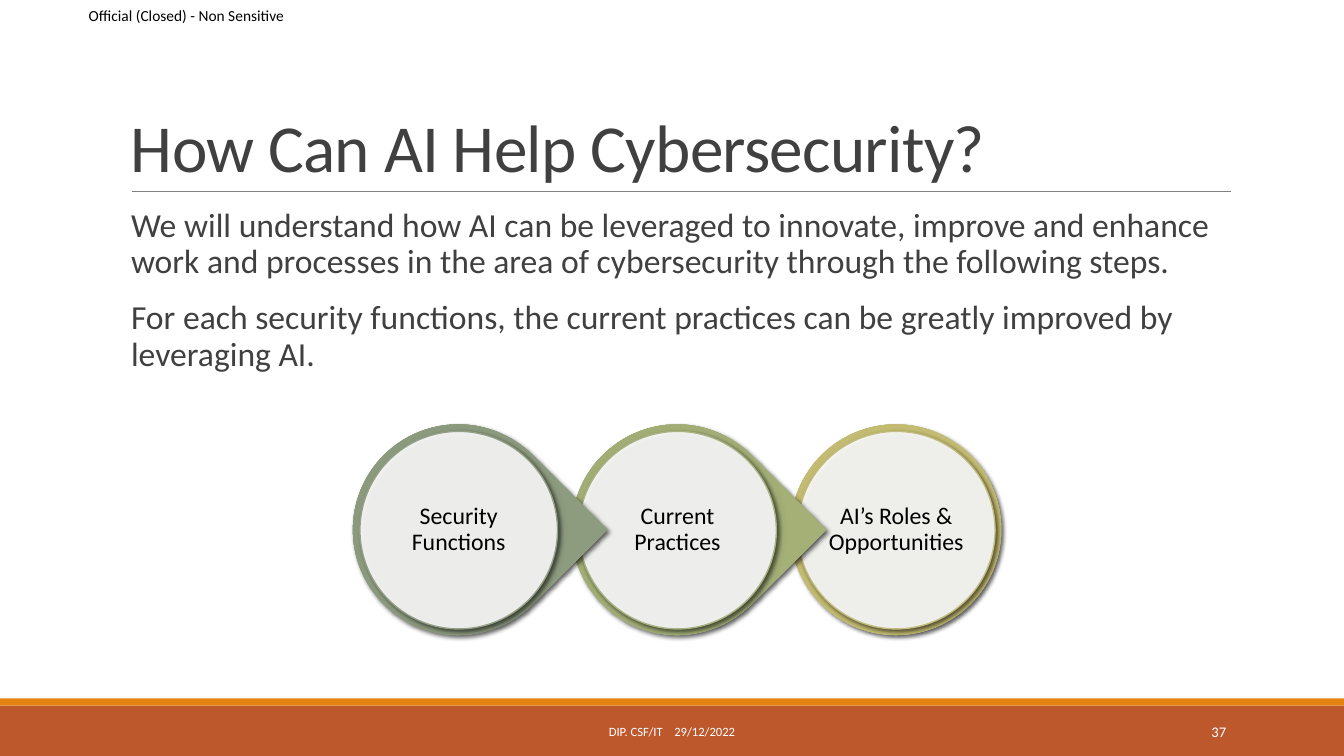
from lxml import etree
from pptx import Presentation
from pptx.dml.color import RGBColor
from pptx.enum.shapes import MSO_CONNECTOR, MSO_SHAPE
from pptx.enum.text import MSO_ANCHOR, PP_ALIGN
from pptx.oxml.ns import qn
from pptx.util import Pt

RECT, OVAL, TEAR = MSO_SHAPE.RECTANGLE, MSO_SHAPE.OVAL, MSO_SHAPE.TEAR
TOP, MIDDLE, BOTTOM = MSO_ANCHOR.TOP, MSO_ANCHOR.MIDDLE, MSO_ANCHOR.BOTTOM
LEFT, CENTER, RIGHT = PP_ALIGN.LEFT, PP_ALIGN.CENTER, PP_ALIGN.RIGHT
STRAIGHT = MSO_CONNECTOR.STRAIGHT
EMU_PER_PX = 9144
FONT = "Calibri"

STEPS = [
    ("Security Functions", TEAR, "94A088", ["8A987B", "8B997D", "8D9C7E", "94A187"]),
    ("Current Practices", TEAR, "A8B283", ["A1AC74", "A2AD76", "A5B077", "AAB481"]),
    ("AI’s Roles & Opportunities", OVAL, "C2BC80", ["BEB76E", "BEB771", "C3BB71", "C5BF7D"]),
]
GRADIENT_STOPS = [0, 34, 70, 100]
BODY = [
    "We will understand how AI can be leveraged to innovate, improve and enhance "
    "work and processes in the area of cybersecurity through the following steps.",
    "For each security functions, the current practices can be greatly improved by "
    "leveraging AI.",
]


def px(n):
    return int(n * EMU_PER_PX)


def rgb(color):
    return RGBColor.from_string(color)


def child(parent, tag, **attrs):
    return etree.SubElement(parent, qn(tag), {k: str(v) for k, v in attrs.items()})


def add_shape(s, kind, x, y, w, h, fill, line=None):
    sp = s.shapes.add_shape(kind, px(x), px(y), px(w), px(h))
    sp.shadow.inherit = False
    sp.fill.solid()
    sp.fill.fore_color.rgb = rgb(fill)
    if line:
        sp.line.color.rgb = rgb(line)
        sp.line.width = Pt(1)
    else:
        sp.line.fill.background()
    return sp


def add_shadow(sp):
    effects = sp._element.spPr.find(qn("a:effectLst"))
    shadow = child(effects, "a:outerShdw", blurRad=Pt(3), dist=Pt(2),
                   dir=45 * 60000, rotWithShape=0)
    color = child(shadow, "a:srgbClr", val="000000")
    child(color, "a:alpha", val=60000)


def set_gradient(sp, colors):
    solid = sp._element.spPr.find(qn("a:solidFill"))
    grad = etree.Element(qn("a:gradFill"), rotWithShape="1")
    stops = child(grad, "a:gsLst")
    for pos, color in zip(GRADIENT_STOPS, colors):
        child(child(stops, "a:gs", pos=pos * 1000), "a:srgbClr", val=color)
    path = child(grad, "a:path", path="circle")
    child(path, "a:fillToRect", l=100000, t=100000, r=100000, b=100000)
    solid.getparent().replace(solid, grad)


def set_alpha(sp, percent):
    color = sp._element.spPr.find(qn("a:solidFill"))[0]
    child(color, "a:alpha", val=percent * 1000)


def add_text(s, x, y, w, h, paragraphs, size, color, align=LEFT, anchor=MIDDLE,
             inset=(10, 5), spacing=1.0, before=0, after=0, indent=0):
    tf = s.shapes.add_textbox(px(x), px(y), px(w), px(h)).text_frame
    tf.word_wrap = True
    tf.vertical_anchor = anchor
    tf.margin_left = tf.margin_right = px(inset[0])
    tf.margin_top = tf.margin_bottom = px(inset[1])
    for i, text in enumerate(paragraphs):
        p = tf.add_paragraph() if i else tf.paragraphs[0]
        p.alignment = align
        p.line_spacing = spacing
        p.space_before, p.space_after = Pt(before), Pt(after)
        p._p.get_or_add_pPr().set("marL", str(px(indent)))
        r = p.add_run()
        r.text = text
        r.font.name = FONT
        r.font.size = Pt(size)
        r.font.color.rgb = rgb(color)
    return tf


def add_rule(s, x1, x2, y, color):
    line = s.shapes.add_connector(STRAIGHT, px(x1), px(y), px(x2), px(y))
    line.line.color.rgb = rgb(color)
    line.line.width = Pt(0.5)
    child(line._element.spPr, "a:effectLst")


def add_step(s, x, y, text, kind, edge, colors):
    ring = add_shape(s, kind, x, y, 209, 209, colors[0])
    if kind == TEAR:
        ring.rotation = 45
    set_gradient(ring, colors)
    add_shadow(ring)
    disc = add_shape(s, OVAL, x + 7, y + 7, 196, 196, "FFFFFF", edge)
    set_alpha(disc, 90)
    add_shadow(disc)
    add_text(s, x + 35, y + 35, 140, 140, [text], 17, "000000", CENTER,
             inset=(2, 2), spacing=0.9)


def add_footer(s):
    tf = add_text(s, 594, 706, 200, 40, ["DIP. CSF/IT\t29/12/2022"], 9, "FFFFFF")
    tabs = child(tf.paragraphs[0]._p.get_or_add_pPr(), "a:tabLst")
    child(tabs, "a:tab", pos=px(65), algn="l")
    add_text(s, 1083, 706, 143, 40, ["37"], 10.5, "FFFFFF", RIGHT)


def main():
    prs = Presentation()
    prs.slide_width, prs.slide_height = px(1333), px(750)
    s = prs.slides.add_slide(prs.slide_layouts[6])
    add_shape(s, RECT, 0, 700, 1333, 50, "BD582C")
    add_shape(s, RECT, 0, 693, 1333, 7, "E48312")
    add_rule(s, 131, 1221, 190, "808080")
    add_text(s, 88, 0, 213, 31, ["Official (Closed) - Non Sensitive"], 11, "000000",
             inset=(0, 0))
    for i, step in reversed(list(enumerate(STEPS))):
        add_step(s, 350 + 217 * i, 421, *step)
    title = add_text(s, 120, 31, 1100, 159, ["How Can AI Help Cybersecurity?"], 48,
                     "404040", anchor=BOTTOM, spacing=0.85)
    title.paragraphs[0].runs[0]._r.get_or_add_rPr().set("spc", "-50")
    add_text(s, 120, 202, 1100, 440, BODY, 24, "404040", anchor=TOP, inset=(0, 5),
             spacing=0.9, before=12, after=2, indent=10)
    add_footer(s)
    prs.save("out.pptx")


if __name__ == "__main__":
    main()
